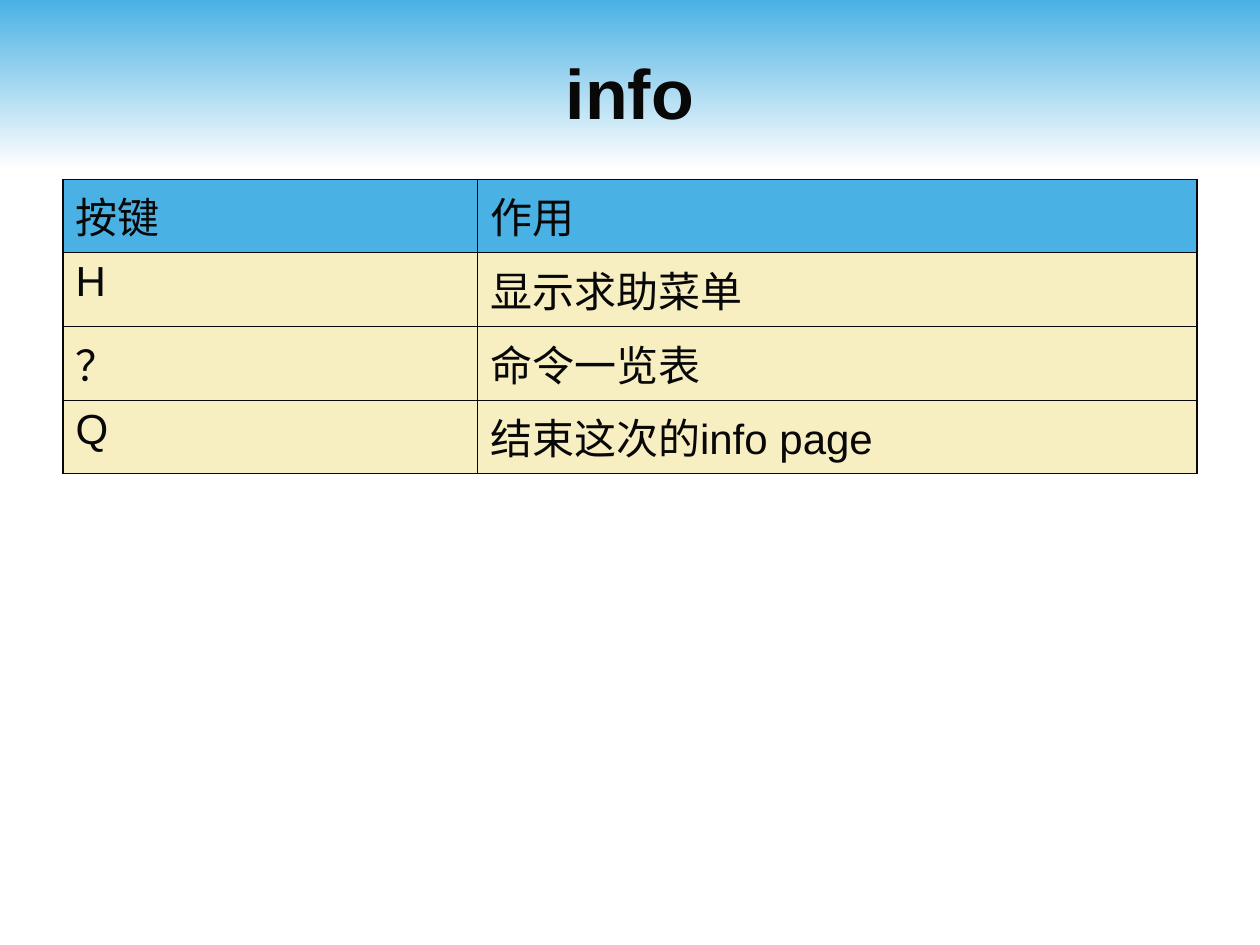
from pptx import Presentation
from pptx import util as u
from pptx.dml.color import RGBColor
from pptx.enum import shapes, text
from pptx.oxml import ns
from lxml import etree

BLUE = RGBColor(0x4A, 0xB1, 0xE4)
CREAM = RGBColor(0xF7, 0xEE, 0xC1)
WHITE = RGBColor(0xFE, 0xFE, 0xFE)
INK = RGBColor(0x08, 0x08, 0x08)
FONT = "Arial"
THICK, THIN = u.Pt(1.08), u.Pt(0.45)
COLUMN_WIDTHS = (3.29, 5.71)
TABLE_HEIGHT = 2.34
KEYS = (
    ("按键", "作用"),
    ("H", "显示求助菜单"),
    ("？", "命令一览表"),
    ("Q", "结束这次的info page"),
)


def style_text(paragraph, size, bold=False):
    """Apply the common font to every run of a paragraph."""
    for run in paragraph.runs:
        run.font.name = FONT
        run.font.size = u.Pt(size)
        run.font.bold = bold
        run.font.color.rgb = INK


def add_header_band(slide):
    """Add the band that fades from blue to white."""
    band = slide.shapes.add_shape(
        shapes.MSO_SHAPE.RECTANGLE, 0, 0, u.Inches(10), u.Inches(1.33))
    band.shadow.inherit = False
    band.line.fill.background()
    band.fill.gradient()
    band.fill.gradient_angle = 270
    for stop, color in zip(band.fill.gradient_stops, (BLUE, WHITE)):
        stop.color.rgb = color


def add_title(slide, title):
    """Add the centred slide title."""
    box = slide.shapes.add_textbox(
        u.Inches(0.5), u.Inches(0.25), u.Inches(9), u.Inches(0.95))
    frame = box.text_frame
    frame.word_wrap = True
    frame.vertical_anchor = text.MSO_ANCHOR.MIDDLE
    frame.text = title
    paragraph = frame.paragraphs[0]
    paragraph.alignment = text.PP_ALIGN.CENTER
    style_text(paragraph, 40, bold=True)


def set_borders(cell, thick_sides):
    """Draw the four cell borders, thicker on the marked sides."""
    properties = cell._tc.get_or_add_tcPr()
    for side, is_thick in thick_sides.items():
        line = etree.SubElement(properties, ns.qn(f"a:ln{side}"),
                                w=str(THICK if is_thick else THIN))
        fill = etree.SubElement(line, ns.qn("a:solidFill"))
        etree.SubElement(fill, ns.qn("a:srgbClr"), val=str(INK))


def add_key_table(slide, rows):
    """Add the table of keys and what they do."""
    last_row, last_column = len(rows) - 1, len(COLUMN_WIDTHS) - 1
    table = slide.shapes.add_table(
        len(rows), len(COLUMN_WIDTHS), u.Inches(0.5), u.Inches(1.42),
        u.Inches(sum(COLUMN_WIDTHS)), u.Inches(TABLE_HEIGHT)).table
    for column, width in zip(table.columns, COLUMN_WIDTHS):
        column.width = u.Inches(width)
    for i, row in enumerate(rows):
        for j, content in enumerate(row):
            cell = table.cell(i, j)
            set_borders(cell, {"L": j == 0, "R": j == last_column,
                               "T": False, "B": i == last_row})
            cell.fill.solid()
            cell.fill.fore_color.rgb = BLUE if i == 0 else CREAM
            cell.text_frame.text = content
            style_text(cell.text_frame.paragraphs[0], 24)


def main():
    """Build and save the slide."""
    presentation = Presentation()
    presentation.slide_width = u.Inches(10)
    presentation.slide_height = u.Inches(7.5)
    slide = presentation.slides.add_slide(presentation.slide_layouts[6])
    add_header_band(slide)
    add_title(slide, "info")
    add_key_table(slide, KEYS)
    presentation.save("out.pptx")


if __name__ == "__main__":
    main()
